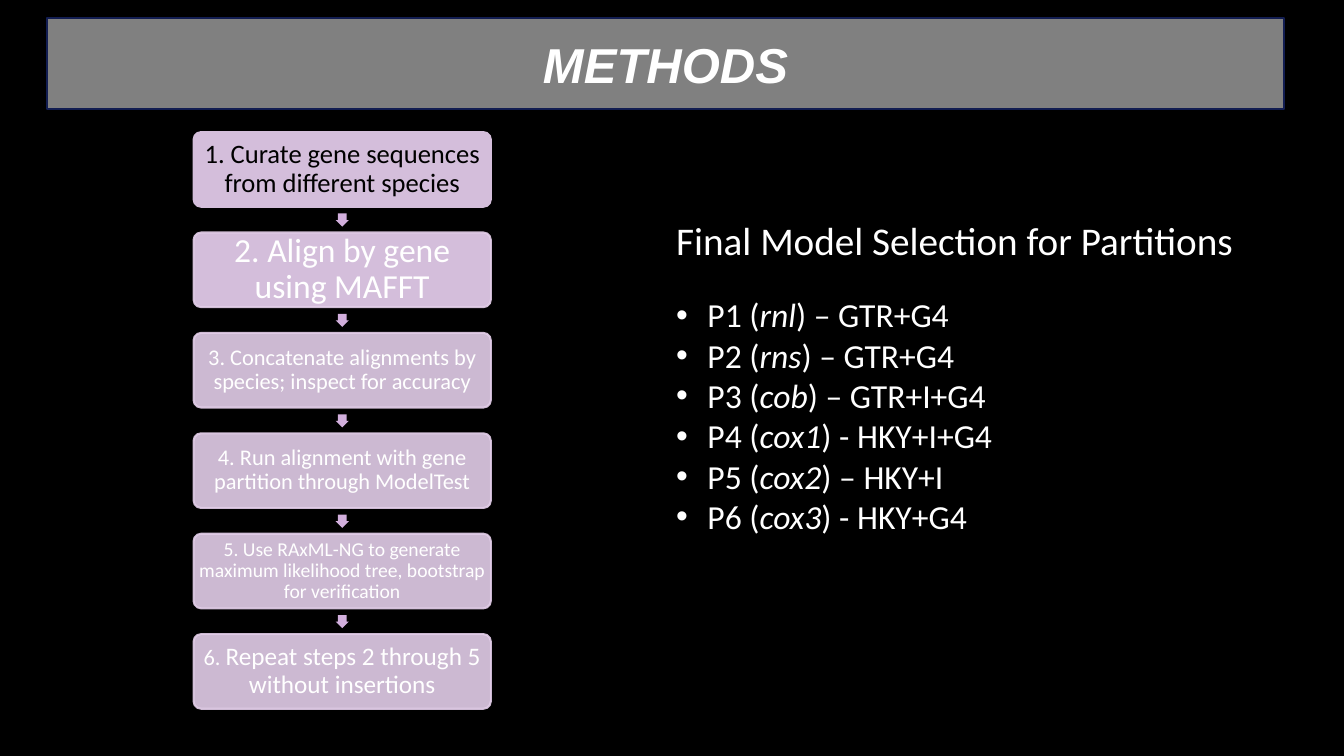
from dataclasses import dataclass

from lxml.etree import SubElement
from pptx import Presentation
from pptx.dml.color import RGBColor
from pptx.enum.shapes import MSO_SHAPE
from pptx.enum.text import MSO_ANCHOR, MSO_AUTO_SIZE, PP_ALIGN
from pptx.oxml.ns import qn
from pptx.util import Cm, Pt

WHITE, PLUM, PALE = "FFFFFF", "D4BEDB", "E3CEE9"


@dataclass
class Step:
    runs: list[tuple[str, float]]
    ink: str = WHITE
    fill: str = PALE
    edge: str = PALE
    inset: float = 0.05
    solid: int = 90  # fill opacity in percent
    rim: int = 90  # line opacity in percent


@dataclass
class Model:
    gene: str
    name: str
    dash: str = "–"


STEPS = [
    Step([("1. Curate gene sequences from different species", 19)],
         "000000", PLUM, PLUM, 0.08, 100, 100),
    Step([("2. Align by gene using MAFFT", 24)], fill=PLUM, inset=0.08, solid=100),
    Step([("3. Concatenate alignments by species; inspect for accuracy", 16)]),
    Step([("4. Run alignment with gene partition through ModelTest", 16)]),
    Step([("5. Use RAxML-NG to generate maximum likelihood tree, "
           "bootstrap for verification", 14)]),
    Step([("6. ", 16), ("Repeat steps 2 through 5 without insertions", 18)]),
]
MODELS = [
    Model("rnl", "GTR+G4"),
    Model("rns", "GTR+G4"),
    Model("cob", "GTR+I+G4"),
    Model("cox1", "HKY+I+G4", "-"),
    Model("cox2", "HKY+I"),
    Model("cox3", "HKY+G4", "-"),
]
LEFT, TOP, WIDE, HIGH, PITCH = 4.88, 3.33, 7.49, 1.88, 2.53
ARROW = 0.33


def paint(fill, tone: str, alpha: int = 100) -> None:
    """Fill with a hex colour at an opacity in percent."""
    fill.solid()
    fill.fore_color.rgb = RGBColor.from_string(tone)
    if alpha < 100:
        node = fill._xPr.find(qn("a:solidFill"))[0]
        SubElement(node, qn("a:alpha")).set("val", str(alpha * 1000))


def adorn(item, form: dict) -> None:
    for key, value in form.items():
        setattr(item, key, value)


def write(para, text: str, size: float, tone: str = WHITE, **form) -> None:
    run = para.add_run()
    run.text = text
    adorn(run.font, {"name": "Calibri", "size": Pt(size), **form})
    paint(run.font.fill, tone)


def block(shapes, kind: MSO_SHAPE, spot: tuple, tone: str, alpha: int = 100):
    """Add a flat shape with no line; spot is left, top, width, height in cm."""
    shape = shapes.add_shape(kind, *map(Cm, spot))
    shape.shadow.inherit = False
    paint(shape.fill, tone, alpha)
    shape.line.fill.background()
    return shape


def outline(shape, tone: str, alpha: int = 100) -> None:
    paint(shape.line.fill, tone, alpha)
    shape.line.width = Pt(1.5)


def center(shape, inset: float):
    """Centre the text of a shape and return its first paragraph."""
    frame = shape.text_frame
    sides = ("left", "top", "right", "bottom")
    adorn(frame, {"word_wrap": True, "vertical_anchor": MSO_ANCHOR.MIDDLE,
                  **{f"margin_{side}": Cm(inset) for side in sides}})
    para = frame.paragraphs[0]
    para.alignment = PP_ALIGN.CENTER
    return para


def bullet(para) -> None:
    props = para._p.get_or_add_pPr()
    props.set("marL", str(Cm(0.79)))
    props.set("indent", str(-Cm(0.79)))
    SubElement(props, qn("a:buFont")).set("typeface", "Arial")
    SubElement(props, qn("a:buChar")).set("char", "•")


def draw_step(shapes, step: Step, top: float) -> None:
    box = block(shapes, MSO_SHAPE.ROUNDED_RECTANGLE, (LEFT, top, WIDE, HIGH),
                step.fill, step.solid)
    box.adjustments[0] = 0.1
    outline(box, step.edge, step.rim)
    para = center(box, step.inset)
    para.line_spacing = 0.9
    for text, size in step.runs:
        write(para, text, size, step.ink)


def draw_arrow(shapes, top: float) -> None:
    left = LEFT + (WIDE - ARROW) / 2
    arrow = block(shapes, MSO_SHAPE.RIGHT_ARROW, (left, top, ARROW, ARROW), "D2AFDD")
    arrow.rotation = 90
    arrow.adjustments[0] = 0.667


def draw_models(shapes) -> None:
    frame = shapes.add_textbox(Cm(16.79), Cm(5.33), Cm(14.88), Cm(8.38)).text_frame
    adorn(frame, {"word_wrap": True, "auto_size": MSO_AUTO_SIZE.SHAPE_TO_FIT_TEXT})
    head = frame.paragraphs[0]
    write(head, "Final Model Selection for Partitions", 28)
    head.space_after = Pt(22)
    for rank, model in enumerate(MODELS, 1):
        para = frame.add_paragraph()
        bullet(para)
        write(para, f"P{rank} (", 24)
        write(para, model.gene, 24, italic=True)
        write(para, f") {model.dash} {model.name}", 24)


def main() -> None:
    deck = Presentation()
    adorn(deck, {"slide_width": Cm(33.87), "slide_height": Cm(19.05)})
    slide = deck.slides.add_slide(deck.slide_layouts[6])
    paint(slide.background.fill, "000000")
    shapes = slide.shapes

    # Flow of steps
    for rank, step in enumerate(STEPS):
        top = TOP + rank * PITCH
        draw_step(shapes, step, top)
        if rank < len(STEPS) - 1:
            draw_arrow(shapes, top + 2.05)

    # Title bar
    bar = block(shapes, MSO_SHAPE.RECTANGLE, (1.19, 0.46, 31.17, 2.29), "808080")
    outline(bar, "121D51")
    write(center(bar, 0.1), "METHODS", 35, name="Arial", bold=True, italic=True)

    # Chosen models
    draw_models(shapes)
    deck.save("out.pptx")


if __name__ == "__main__":
    main()
